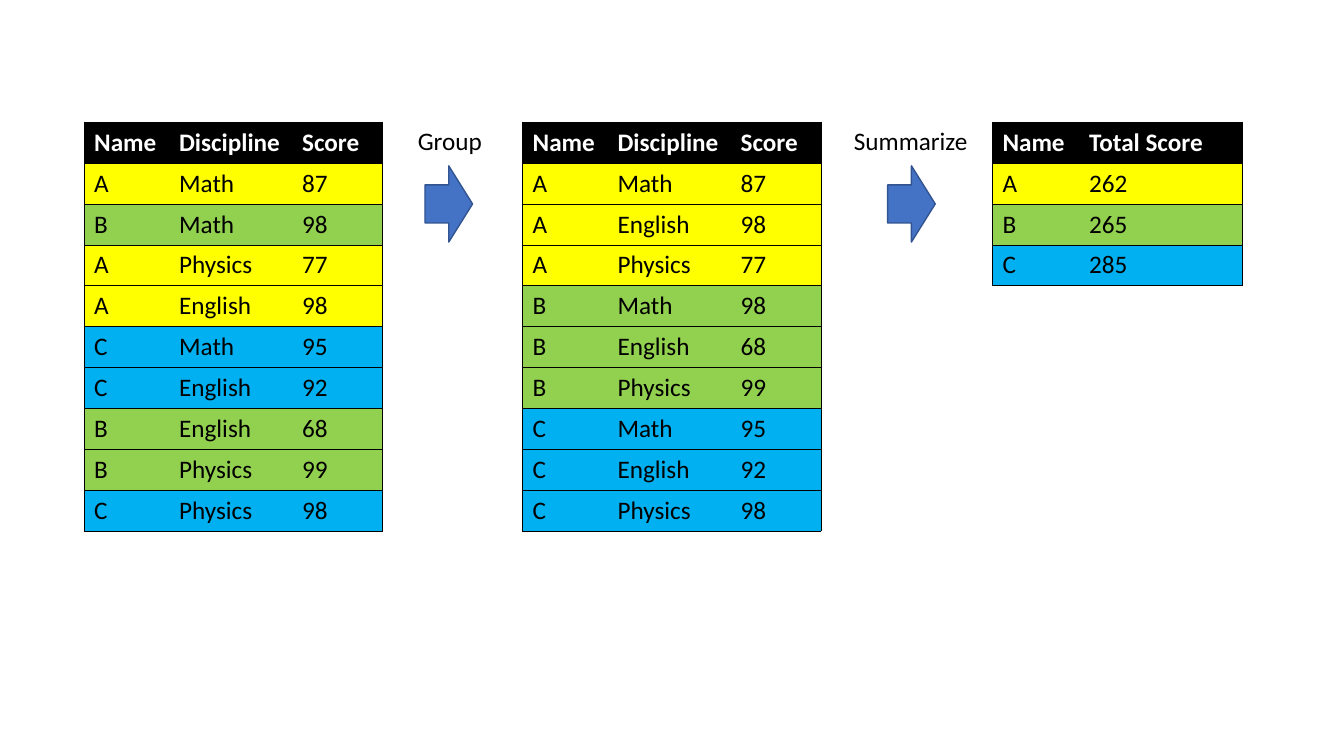
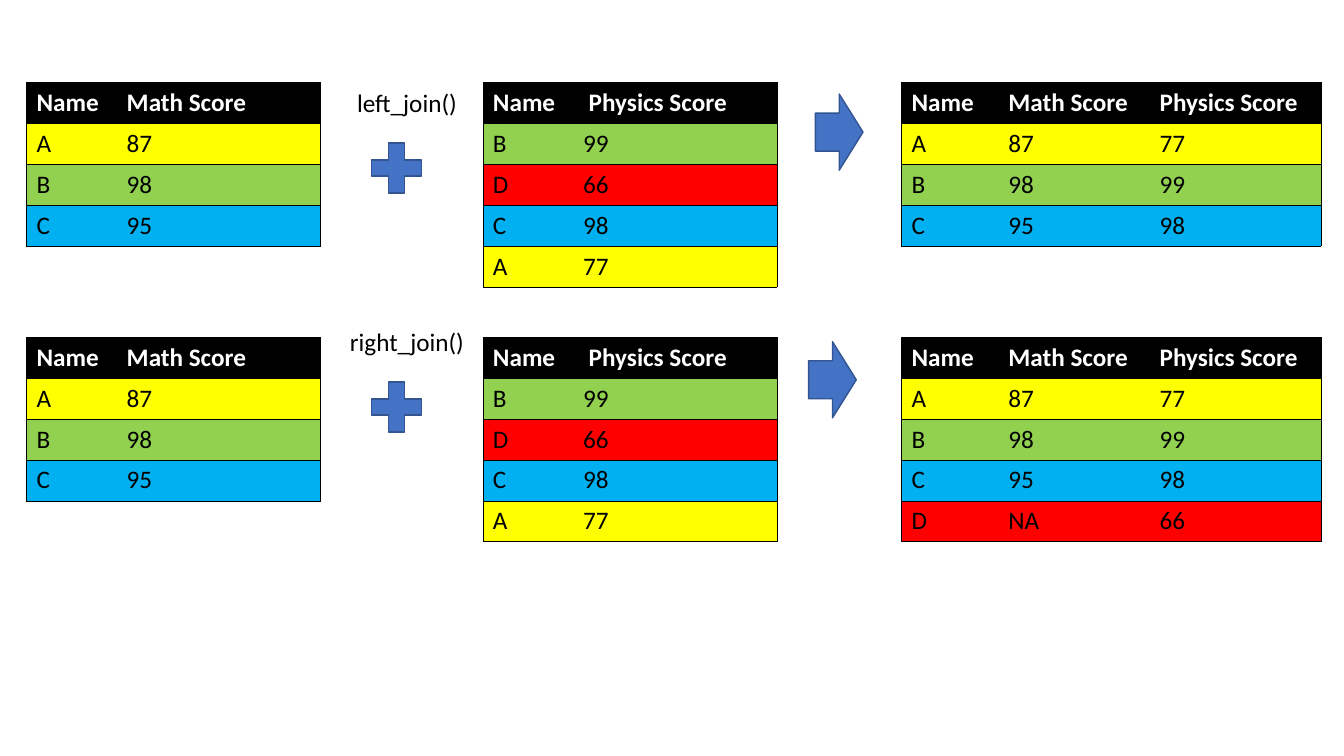
from lxml.etree import SubElement
from pptx import Presentation
from pptx.dml.color import RGBColor
from pptx.enum.shapes import MSO_SHAPE
from pptx.enum.text import MSO_AUTO_SIZE
from pptx.oxml.ns import qn
from pptx.util import Cm, Pt

BLACK = RGBColor(0x00, 0x00, 0x00)
WHITE = RGBColor(0xFF, 0xFF, 0xFF)
YELLOW = RGBColor(0xFF, 0xFF, 0x00)
GREEN = RGBColor(0x92, 0xD0, 0x50)
CYAN = RGBColor(0x00, 0xB0, 0xF0)
RED = RGBColor(0xFF, 0x00, 0x00)
BLUE = RGBColor(0x44, 0x72, 0xC4)
DARK_BLUE = RGBColor(0x32, 0x54, 0x91)
ROW_FILLS = {"Name": BLACK, "A": YELLOW, "B": GREEN, "C": CYAN, "D": RED}

FONT, SIZE = "Calibri", Pt(18)
ROW_H = 1.03
ARROW_SIZE = (1.2, 1.92)
PLUS_SIZE = (1.71, 1.71)

SUBJECTS = ["Math", "English", "Physics"]
SCORE_HEAD = ("Name", "Discipline", "Score")
SCORES = [
    ("A", "Math", "87"),
    ("B", "Math", "98"),
    ("A", "Physics", "77"),
    ("A", "English", "98"),
    ("C", "Math", "95"),
    ("C", "English", "92"),
    ("B", "English", "68"),
    ("B", "Physics", "99"),
    ("C", "Physics", "98"),
]
GROUPED = sorted(SCORES, key=lambda row: (row[0], SUBJECTS.index(row[1])))
TOTALS = [("Name", "Total Score"), ("A", "262"), ("B", "265"), ("C", "285")]

MATH = [("Name", "Math Score"), ("A", "87"), ("B", "98"), ("C", "95")]
PHYSICS = [("Name", " Physics Score"), ("B", "99"), ("D", "66"), ("C", "98"), ("A", "77")]
LEFT_JOIN = [
    ("Name", "Math Score", "Physics Score"),
    ("A", "87", "77"),
    ("B", "98", "99"),
    ("C", "95", "98"),
]
RIGHT_JOIN = LEFT_JOIN + [("D", "NA", "66")]

SCORE_COLS = (2.14, 3.1, 2.28)
TOTAL_COLS = (2.18, 4.12)
PAIR_COLS = (2.27, 5.14)
JOIN_COLS = (2.44, 3.81, 4.32)

SUMMARY_TOP = 3.08
SUMMARY_TABLES = [
    (2.12, SCORE_COLS, [SCORE_HEAD] + SCORES),
    (13.17, SCORE_COLS, [SCORE_HEAD] + GROUPED),
    (25.01, TOTAL_COLS, TOTALS),
]
SUMMARY_STEPS = [("Group", 10.28, 2.13, 10.71), ("Summarize", 21.27, 3.41, 22.37)]

JOINS = [
    {"top": 2.08, "label": ("left_join()", 8.75, 2.08, 3.07),
     "plus": (9.14, 3.38), "arrow": (20.55, 2.37), "result": LEFT_JOIN},
    {"top": 8.5, "label": ("right_join()", 8.57, 8.1, 3.43),
     "plus": (9.14, 9.4), "arrow": (20.38, 8.61), "result": RIGHT_JOIN},
]


def set_font(p, color, bold=False):
    p.font.name, p.font.size, p.font.bold = FONT, SIZE, bold
    p.font.color.rgb = color


def set_borders(cell, sides):
    tc_pr = cell._tc.get_or_add_tcPr()
    for side in "LRTB":
        ln = SubElement(tc_pr, qn(f"a:ln{side}"), w=str(Pt(0.5)))
        if side in sides:
            fill = SubElement(ln, qn("a:solidFill"))
            SubElement(fill, qn("a:srgbClr"), val=str(BLACK))
        else:
            SubElement(ln, qn("a:noFill"))


def add_grid(s, left, top, cols, rows):
    frame = s.shapes.add_table(len(rows), len(cols), Cm(left), Cm(top),
                               Cm(sum(cols)), Cm(ROW_H * len(rows)))
    table = frame.table
    for column, width in zip(table.columns, cols):
        column.width = Cm(width)
    for r, row in enumerate(rows):
        table.rows[r].height = Cm(ROW_H)
        for c, text in enumerate(row):
            cell = table.cell(r, c)
            cell.text = text
            set_font(cell.text_frame.paragraphs[0], BLACK if r else WHITE, r == 0)
            sides = "TB" + ("L" if c == 0 else "") + ("R" if c == len(cols) - 1 else "")
            set_borders(cell, sides)
            cell.fill.solid()
            cell.fill.fore_color.rgb = ROW_FILLS[row[0]]


def add_symbol(s, kind, left, top, size):
    sp = s.shapes.add_shape(kind, Cm(left), Cm(top), *map(Cm, size))
    sp.shadow.inherit = False
    sp.fill.solid()
    sp.fill.fore_color.rgb = BLUE
    sp.line.color.rgb = DARK_BLUE
    sp.line.width = Pt(1)


def add_label(s, text, left, top, width):
    tf = s.shapes.add_textbox(Cm(left), Cm(top), Cm(width), Cm(ROW_H)).text_frame
    tf.word_wrap = False
    tf.auto_size = MSO_AUTO_SIZE.SHAPE_TO_FIT_TEXT
    tf.text = text
    set_font(tf.paragraphs[0], BLACK)


prs = Presentation()
prs.slide_width, prs.slide_height = Cm(33.87), Cm(19.05)
blank = prs.slide_layouts[6]

s = prs.slides.add_slide(blank)
for left, cols, rows in SUMMARY_TABLES:
    add_grid(s, left, SUMMARY_TOP, cols, rows)
for text, left, width, arrow_left in SUMMARY_STEPS:
    add_symbol(s, MSO_SHAPE.RIGHT_ARROW, arrow_left, 4.18, ARROW_SIZE)
    add_label(s, text, left, 3.03, width)

s = prs.slides.add_slide(blank)
for join in JOINS:
    add_grid(s, 0.67, join["top"], PAIR_COLS, MATH)
    add_grid(s, 12.17, join["top"], PAIR_COLS, PHYSICS)
    add_symbol(s, MSO_SHAPE.MATH_PLUS, *join["plus"], PLUS_SIZE)
    add_symbol(s, MSO_SHAPE.RIGHT_ARROW, *join["arrow"], ARROW_SIZE)
    add_grid(s, 22.72, join["top"], JOIN_COLS, join["result"])
    add_label(s, *join["label"])

prs.save("out.pptx")
